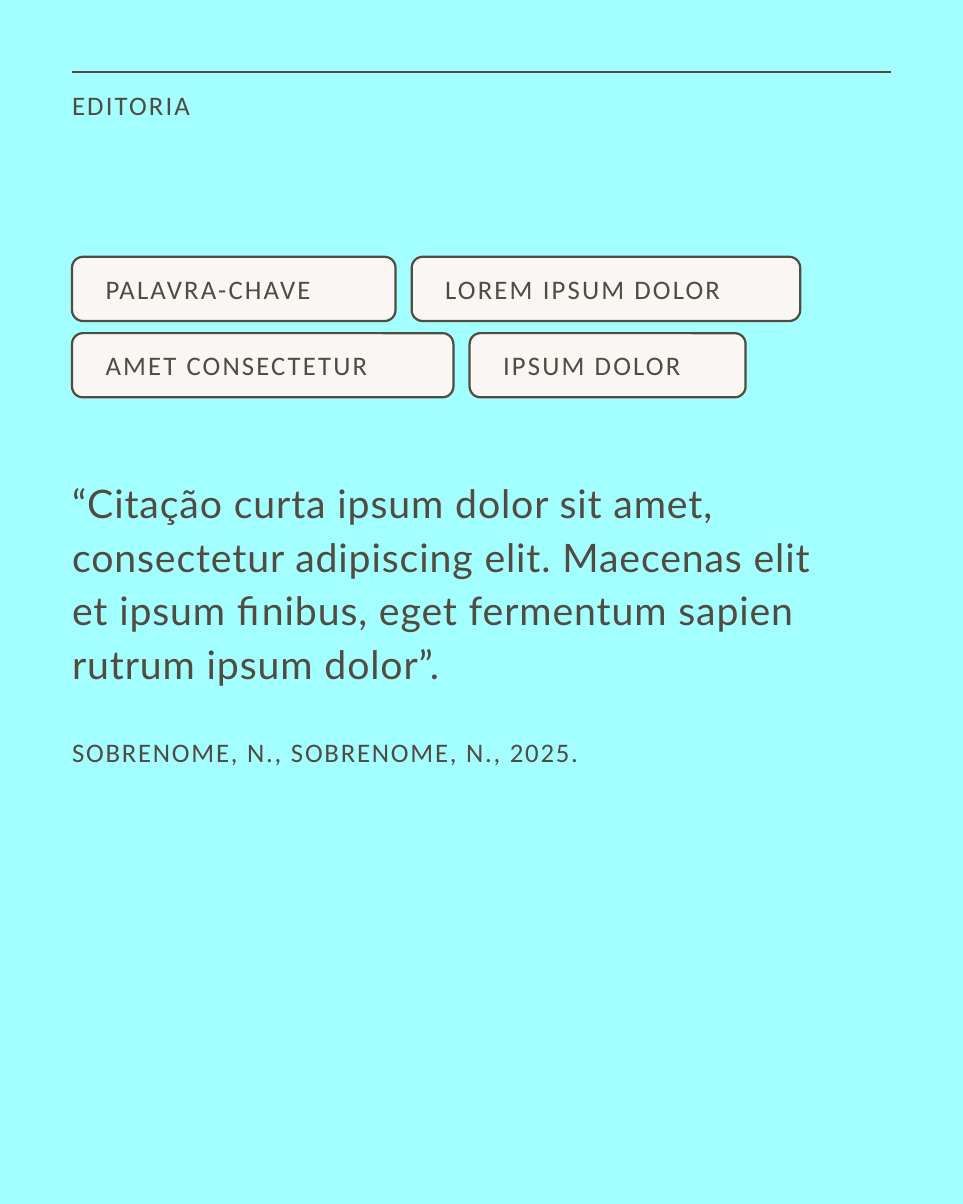
from pptx import Presentation
from pptx.dml.color import RGBColor
from pptx.enum import shapes, text
from pptx.oxml import parse_xml
from pptx.oxml.ns import nsdecls
from pptx.util import Cm, Pt

INK, PAPER, SKY = "514B40", "FAF6F3", "A3FFFF"
LABEL = {"name": "Calibri", "size": Pt(30), "bold": False}
QUOTE = {"name": "Lato", "size": Pt(44), "bold": False}
LEFT, WIDTH = 2.85, 32.4


def rgb(value):
    return RGBColor.from_string(value)


def place(sp, left, top, width, height):
    sp.left, sp.top, sp.width, sp.height = map(Cm, (left, top, width, height))


def set_frame(tf, margins=(0, 0, 0, 0), anchor=text.MSO_ANCHOR.TOP):
    tf.word_wrap = True
    tf.auto_size = text.MSO_AUTO_SIZE.NONE
    tf.vertical_anchor = anchor
    for side, value in zip(("left", "top", "right", "bottom"), margins):
        setattr(tf, f"margin_{side}", Cm(value))


def write(p, words, font, spacing, **layout):
    """Fill a paragraph with one letter-spaced run."""
    pPr = p._p.get_or_add_pPr()
    pPr.set("marL", "0")
    pPr.set("indent", "0")
    pPr.append(parse_xml(f"<a:buNone {nsdecls('a')}/>"))
    settings = {"alignment": text.PP_ALIGN.LEFT, "space_before": Pt(0), **layout}
    for key, value in settings.items():
        setattr(p, key, value)
    r = p.add_run()
    r.text = words
    for key, value in font.items():
        setattr(r.font, key, value)
    r.font.color.rgb = rgb(INK)
    r._r.get_or_add_rPr().set("spc", str(int(spacing * 100)))


def add_header(s, left, top, width):
    # Rule across the page
    line = s.shapes.add_connector(shapes.MSO_CONNECTOR.STRAIGHT,
                                  Cm(left), Cm(top), Cm(left + width), Cm(top))
    line.line.color.rgb = rgb(INK)
    line.line.width = Pt(2.5)
    line._element.spPr.append(parse_xml(f"<a:effectLst {nsdecls('a')}/>"))
    # Section name
    title = s.shapes.title
    place(title, left, top + 0.65, width, 1.3)
    set_frame(title.text_frame)
    write(title.text_frame.paragraphs[0], "EDITORIA", LABEL, 2.4)


def add_keywords(s, left, top, rows, height=2.54, gap=0.64, pitch=3.02):
    for i, row in enumerate(rows):
        x = left
        for words, width in row:
            sp = s.shapes.add_shape(shapes.MSO_SHAPE.ROUNDED_RECTANGLE, Cm(x),
                                    Cm(top + i * pitch), Cm(width), Cm(height))
            sp.adjustments[0] = 0.17
            sp.shadow.inherit = False
            sp.fill.solid()
            sp.fill.fore_color.rgb = rgb(PAPER)
            sp.line.color.rgb = rgb(INK)
            sp.line.width = Pt(2.5)
            set_frame(sp.text_frame, (1.2, 0.5, 1.2, 0.5), text.MSO_ANCHOR.MIDDLE)
            write(sp.text_frame.paragraphs[0], words, LABEL, 2.4)
            x += width + gap


def add_quote(s, left, top, width, height, quote, source):
    body = s.placeholders[1]
    place(body, left, top, width, height)
    tf = body.text_frame
    set_frame(tf, (0, 3, 1.5, 0))
    write(tf.paragraphs[0], quote, QUOTE, 1, line_spacing=Pt(60))
    write(tf.add_paragraph(), source, LABEL, 2,
          line_spacing=Pt(45), space_before=Pt(45))


def main():
    prs = Presentation()
    prs.slide_width, prs.slide_height = Cm(38.1), Cm(47.63)
    s = prs.slides.add_slide(prs.slide_layouts[1])
    s.background.fill.solid()
    s.background.fill.fore_color.rgb = rgb(SKY)

    add_header(s, LEFT, 2.85, WIDTH)
    add_keywords(s, LEFT, 10.16, [
        [("PALAVRA-CHAVE", 12.8), ("LOREM IPSUM DOLOR", 15.37)],
        [("AMET CONSECTETUR", 15.09), ("IPSUM DOLOR", 10.92)],
    ])
    add_quote(s, LEFT, 15.72, WIDTH, 17.25,
              "“Citação curta ipsum dolor sit amet, consectetur adipiscing elit. "
              "Maecenas elit et ipsum finibus, eget fermentum sapien rutrum "
              "ipsum dolor”.",
              "SOBRENOME, N., SOBRENOME, N., 2025.")
    prs.save("out.pptx")


if __name__ == "__main__":
    main()
